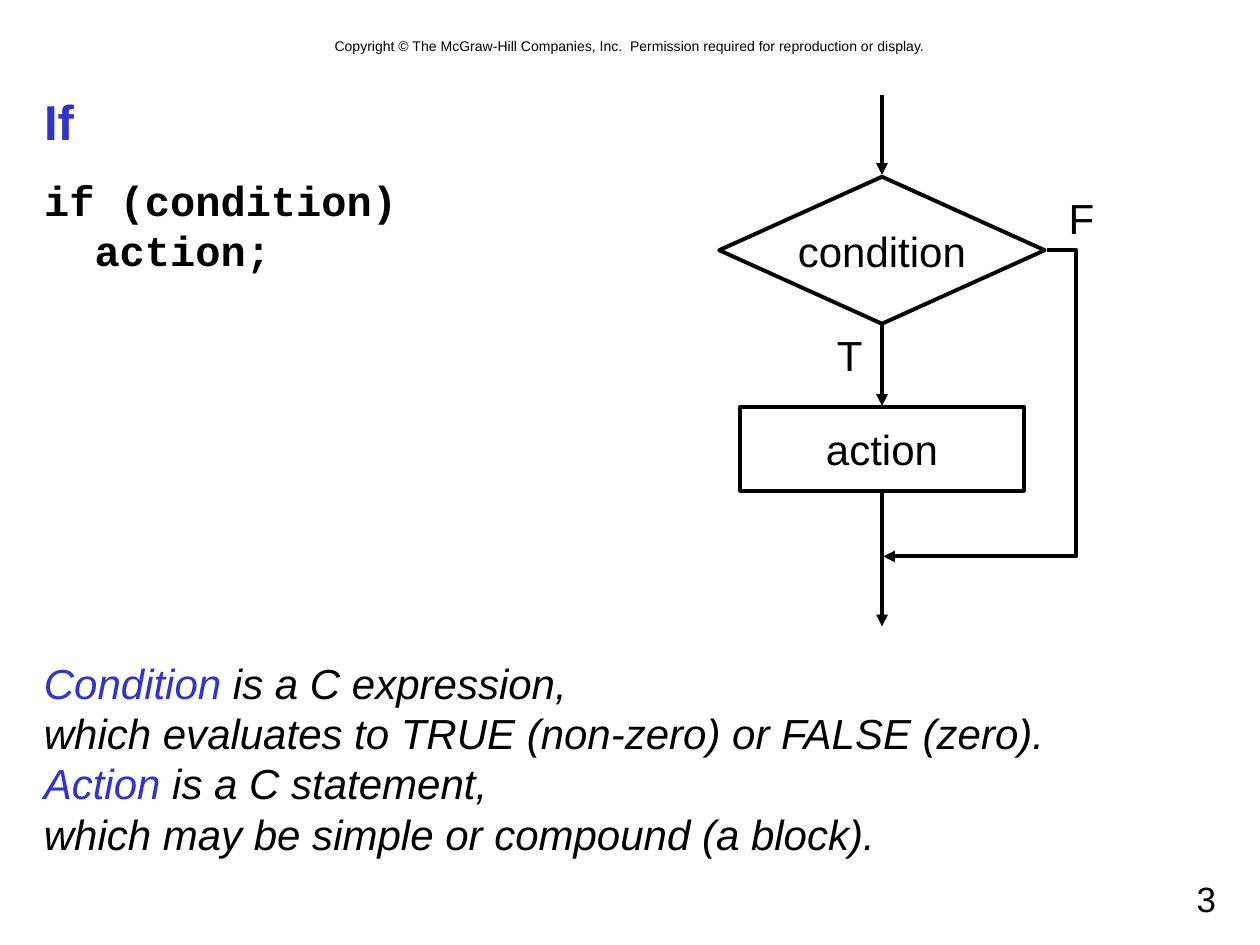
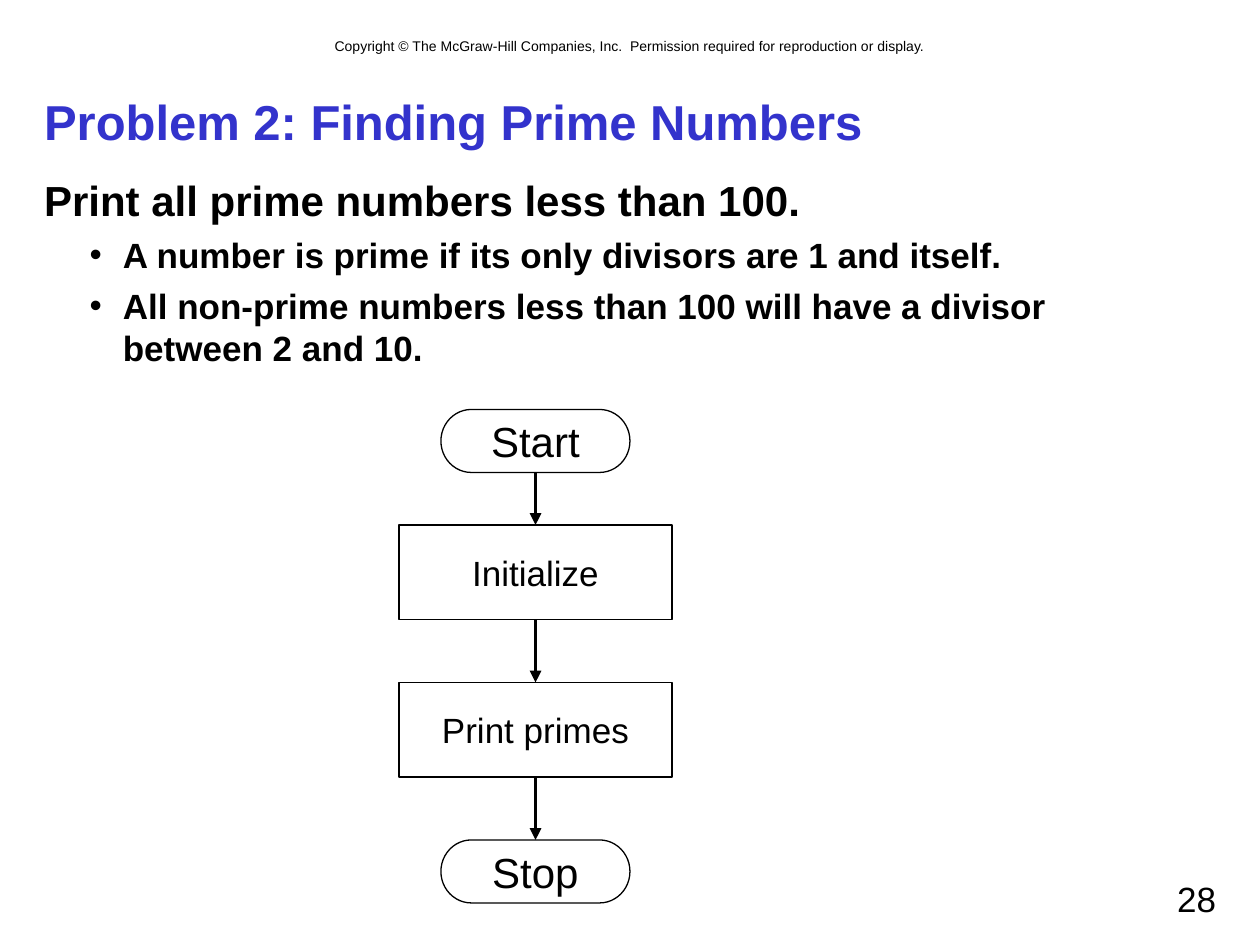
"""Build two lecture slides on C decisions, each with a flowchart."""
from itertools import pairwise

from lxml import etree
from pptx import Presentation
from pptx.dml.color import RGBColor
from pptx.enum.shapes import MSO_CONNECTOR, MSO_SHAPE
from pptx.enum.text import MSO_ANCHOR, MSO_AUTO_SIZE, PP_ALIGN
from pptx.oxml.ns import qn
from pptx.util import Pt

STRAIGHT, ELBOW = MSO_CONNECTOR.STRAIGHT, MSO_CONNECTOR.ELBOW
DIAMOND, RECTANGLE = MSO_SHAPE.DIAMOND, MSO_SHAPE.RECTANGLE
TERMINATOR = MSO_SHAPE.FLOWCHART_TERMINATOR
LEFT, CENTER, RIGHT = PP_ALIGN.LEFT, PP_ALIGN.CENTER, PP_ALIGN.RIGHT
MIDDLE = MSO_ANCHOR.MIDDLE
NO_AUTOFIT = MSO_AUTO_SIZE.NONE

COLORS = {"text": "000000", "accent": "3333CC"}
SANS, CODE = "Arial", "Courier New"
COPYRIGHT = ("Copyright © The McGraw-Hill Companies, Inc.  "
             "Permission required for reproduction or display.")
MARGIN, CONTENT_WIDTH = 18, 684
FLOW_LINE = 2.25


def color(name):
    return RGBColor.from_string(COLORS[name])


def style(paragraph, size, name=SANS, ink="text", bold=False, italic=False):
    font = paragraph.font
    font.size, font.name = Pt(size), name
    font.bold, font.italic = bold, italic
    font.color.rgb = color(ink)


def place(shape, left, top, width, height):
    shape.left, shape.top = Pt(left), Pt(top)
    shape.width, shape.height = Pt(width), Pt(height)


def set_bullet(paragraph, level):
    properties = paragraph._p.get_or_add_pPr()
    properties.set("marL", str(Pt(45 if level else 0)))
    properties.set("indent", str(Pt(-19 if level else 0)))
    if level:
        etree.SubElement(properties, qn("a:buFont"), typeface=SANS)
        etree.SubElement(properties, qn("a:buChar"), char="•")
    else:
        etree.SubElement(properties, qn("a:buNone"))


def add_text(slide, box, lines, size, align=LEFT, wrap=True, italic=False):
    """Add a text box; a line is a string or an (accented, plain) pair."""
    shape = slide.shapes.add_textbox(*map(Pt, box))
    frame = shape.text_frame
    frame.word_wrap = wrap
    for index, line in enumerate(lines):
        paragraph = frame.add_paragraph() if index else frame.paragraphs[0]
        paragraph.alignment = align
        style(paragraph, size, italic=italic)
        if isinstance(line, str):
            paragraph.text = line
        else:
            accented, plain = line
            run = paragraph.add_run()
            run.text = accented
            run.font.color.rgb = color("accent")
            paragraph.add_run().text = plain


def fill_body(slide, items, font_name=SANS):
    """Fill the body placeholder with (text, level) items."""
    body = slide.placeholders[1]
    place(body, MARGIN, 96, CONTENT_WIDTH, 384)
    frame = body.text_frame
    frame.auto_size = NO_AUTOFIT
    for index, (text, level) in enumerate(items):
        paragraph = frame.add_paragraph() if index else frame.paragraphs[0]
        paragraph.text = text
        paragraph.level = level
        paragraph.space_before = Pt(5 if index else 0)
        set_bullet(paragraph, level)
        style(paragraph, 20 if level else 24, font_name, bold=True)


def add_slide(presentation, title, number):
    """Add a slide with the shared title, copyright line and number."""
    slide = presentation.slides.add_slide(presentation.slide_layouts[1])
    add_text(slide, (48, 18, 624, 17), [COPYRIGHT], 8, CENTER)
    heading = slide.shapes.title
    place(heading, MARGIN, 48, CONTENT_WIDTH, 42)
    heading.text_frame.auto_size = NO_AUTOFIT
    heading.text_frame.vertical_anchor = MIDDLE
    paragraph = heading.text_frame.paragraphs[0]
    paragraph.text = title
    paragraph.alignment = LEFT
    style(paragraph, 28, ink="accent", bold=True)
    add_text(slide, (516, 498, 186, 30), [number], 20, RIGHT)
    return slide


def add_node(slide, kind, center, top, width, height, text, size, line_width):
    """Add an outlined flowchart node centred on a vertical axis."""
    node = slide.shapes.add_shape(
        kind, Pt(center - width / 2), Pt(top), Pt(width), Pt(height))
    node.shadow.inherit = False
    node.fill.background()
    node.line.color.rgb = color("text")
    node.line.width = Pt(line_width)
    frame = node.text_frame
    frame.word_wrap = False
    frame.vertical_anchor = MIDDLE
    paragraph = frame.paragraphs[0]
    paragraph.text = text
    paragraph.alignment = CENTER
    style(paragraph, size)


def add_arrow(slide, start, end, kind=STRAIGHT, bend=None):
    """Add an arrow; bend places an elbow as a share of its width."""
    arrow = slide.shapes.add_connector(kind, *map(Pt, (*start, *end)))
    arrow.line.color.rgb = color("text")
    arrow.line.width = Pt(FLOW_LINE)
    properties = arrow._element.spPr
    etree.SubElement(properties.find(qn("a:ln")), qn("a:tailEnd"), type="triangle")
    etree.SubElement(properties, qn("a:effectLst"))
    if bend is not None:
        guides = properties.find(qn("a:prstGeom")).find(qn("a:avLst"))
        etree.SubElement(guides, qn("a:gd"), name="adj1",
                         fmla=f"val {round(bend * 100000)}")


def build_if_slide(presentation):
    slide = add_slide(presentation, "If", "3")
    fill_body(slide, [("if (condition)\n  action;", 0)], CODE)
    axis = 504
    add_node(slide, DIAMOND, axis, 101, 186, 84, "condition", 24, FLOW_LINE)
    add_node(slide, RECTANGLE, axis, 232.5, 162, 48, "action", 24, FLOW_LINE)
    for top, bottom in [(54, 100), (185.5, 232), (282, 358)]:
        add_arrow(slide, (axis, top), (axis, bottom))
    add_arrow(slide, (598.25, 142.75), (504.75, 318), ELBOW, -0.18)
    for label, left, top in [("T", 471, 185), ("F", 603.5, 106.5)]:
        add_text(slide, (left, top, 29, 36), [label], 24, CENTER, wrap=False)
    definitions = [
        ("Condition", " is a C expression,"),
        "which evaluates to TRUE (non-zero) or FALSE (zero).",
        ("Action", " is a C statement,"),
        "which may be simple or compound (a block).",
    ]
    add_text(slide, (MARGIN, 372, 587.5, 122.5), definitions, 24,
             wrap=False, italic=True)


def build_primes_slide(presentation):
    slide = add_slide(presentation, "Problem 2: Finding Prime Numbers", "28")
    fill_body(slide, [
        ("Print all prime numbers less than 100.", 0),
        ("A number is prime if its only divisors are 1 and itself.", 1),
        ("All non-prime numbers less than 100 will have a divisor\n"
         "between 2 and 10.", 1),
    ])
    axis = 306
    terminal = (TERMINATOR, 108, 36, 24)
    process = (RECTANGLE, 156, 54, 20)
    steps = [("Start", 234, terminal), ("Initialize", 300, process),
             ("Print primes", 390, process), ("Stop", 480, terminal)]
    for text, top, (kind, width, height, size) in steps:
        add_node(slide, kind, axis, top, width, height, text, size, 0.75)
    for (_, top, (_, _, height, _)), (_, next_top, _) in pairwise(steps):
        add_arrow(slide, (axis, top + height), (axis, next_top))


def main():
    presentation = Presentation()
    presentation.slide_width, presentation.slide_height = Pt(720), Pt(540)
    build_if_slide(presentation)
    build_primes_slide(presentation)
    presentation.save("out.pptx")


if __name__ == "__main__":
    main()
